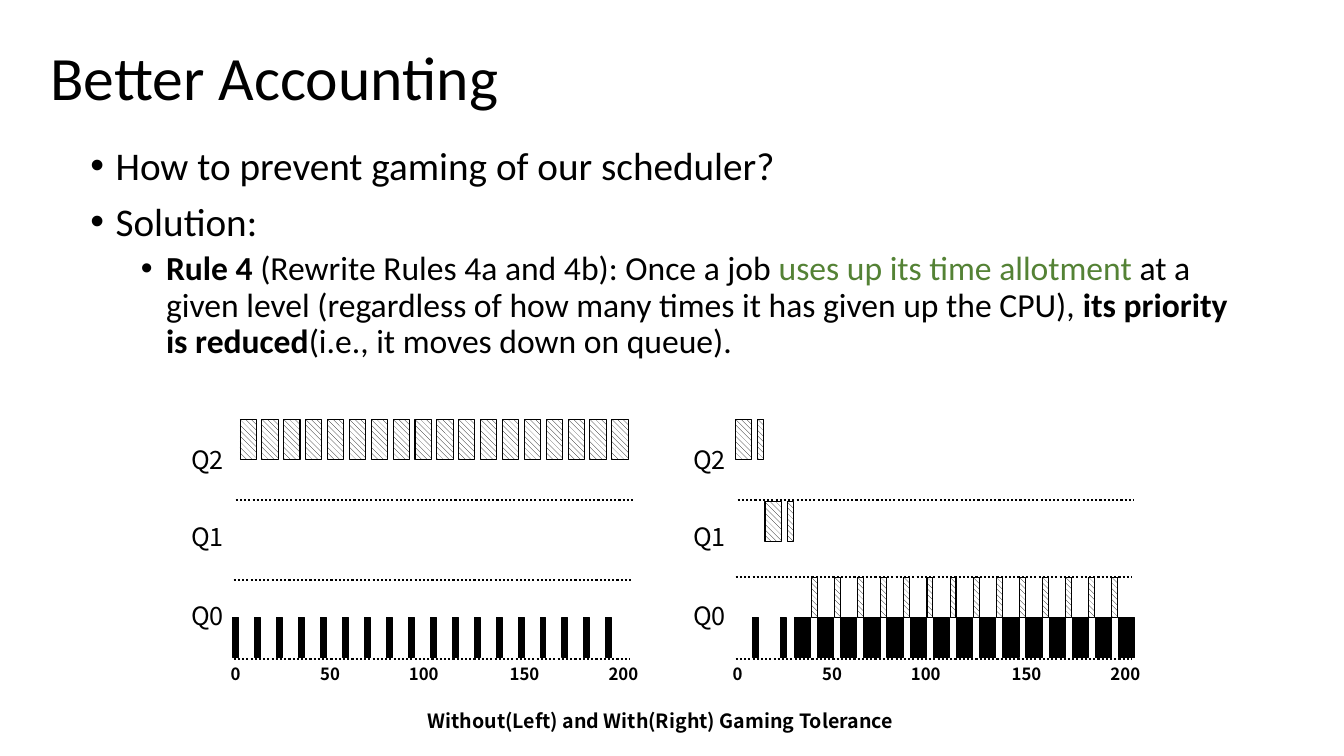
from lxml import etree
from pptx import Presentation
from pptx import util as u
from pptx.dml.color import RGBColor
from pptx.enum import dml, shapes, text
from pptx.oxml.ns import qn

BLACK = RGBColor(0x00, 0x00, 0x00)
WHITE = RGBColor(0xFF, 0xFF, 0xFF)
GREEN = RGBColor(0x54, 0x82, 0x35)
BODY_FONT, CHART_FONT = "Calibri", "Noto Sans CJK KR"

# Content
TITLE = "Better Accounting"
CAPTION = "Without(Left) and With(Right) Gaming Tolerance"
# Each bullet: level, size, runs of (text, bold, colour)
BULLETS = [
    (0, 28, [("How to prevent gaming of our scheduler?", False, BLACK)]),
    (0, 28, [("Solution:", False, BLACK)]),
    (1, 24, [
        ("Rule 4 ", True, BLACK),
        ("(Rewrite Rules 4a and 4b): Once a job ", False, BLACK),
        ("uses up its time allotment ", False, GREEN),
        ("at a given level (regardless of how many times it has given up the CPU), ",
         False, BLACK),
        ("its priority is reduced", True, BLACK),
        ("(i.e., it moves down on queue).", False, BLACK),
    ]),
]
# Label: left edge or centre in the left timeline, in cm
QUEUES = [("Q2", 11.07), ("Q1", 13.0), ("Q0", 15.01)]
TICKS = [("0", 5.87), ("50", 8.32), ("100", 10.68), ("150", 13.22), ("200", 15.71)]
TICK_WIDTHS = {1: 0.61, 2: 1.19, 3: 1.55}

# Bar rows: first left, last left, count, top, width, hatched
WIDE, THIN, BAR_H = 0.41, 0.15, 1.0
Q2_TOP, Q1_TOP, Q0_UPPER, Q0_TOP = 10.57, 12.65, 14.55, 15.57
# Each timeline: horizontal shift, height of the Q1/Q0 divider, bar rows
TIMELINES = [
    (0, 14.61, [
        (6.05, 15.42, 18, Q2_TOP, WIDE, True),
        (5.87, 15.27, 18, Q0_TOP, THIN, False),
    ]),
    (12.65, 14.55, [
        (18.54, 18.54, 1, Q2_TOP, WIDE, True),
        (19.1, 19.1, 1, Q2_TOP, THIN, True),
        (19.28, 19.28, 1, Q1_TOP, WIDE, True),
        (19.84, 19.84, 1, Q1_TOP, THIN, True),
        (18.97, 19.66, 2, Q0_TOP, THIN, False),
        (20.02, 28.19, 15, Q0_TOP, WIDE, False),
        (20.45, 28.02, 14, Q0_UPPER, THIN, True),
    ]),
]


def add_label(parent, label, x, y, w, h, size, align, bold):
    tb = parent.add_textbox(u.Cm(x), u.Cm(y), u.Cm(w), u.Cm(h))
    tf = tb.text_frame
    tf.word_wrap = False
    tf.vertical_anchor = text.MSO_ANCHOR.MIDDLE
    p = tf.paragraphs[0]
    p.text, p.alignment = label, align
    p.font.name, p.font.size, p.font.bold = CHART_FONT, u.Pt(size), bold
    p.font.color.rgb = BLACK


def add_divider(parent, x, y, length):
    line = parent.add_connector(shapes.MSO_CONNECTOR.STRAIGHT,
                                u.Cm(x), u.Cm(y), u.Cm(x + length), u.Cm(y))
    line.line.color.rgb = BLACK
    line.line.width = u.Pt(1.5)
    line.line.dash_style = dml.MSO_LINE.ROUND_DOT
    etree.SubElement(line._element.spPr, qn("a:effectLst"))


def add_bar(parent, x, y, w, hatched):
    bar = parent.add_shape(shapes.MSO_SHAPE.RECTANGLE,
                           u.Cm(x), u.Cm(y), u.Cm(w), u.Cm(BAR_H))
    bar.shadow.inherit = False
    if hatched:
        bar.fill.patterned()
        bar.fill.pattern = dml.MSO_PATTERN.WIDE_DOWNWARD_DIAGONAL
        bar.fill.fore_color.rgb, bar.fill.back_color.rgb = BLACK, WHITE
    else:
        bar.fill.solid()
        bar.fill.fore_color.rgb = BLACK
    bar.line.color.rgb = BLACK
    bar.line.width = u.Pt(0.75)


def add_timeline(s, shift, divider_y, rows):
    group = s.shapes.add_group_shape().shapes
    # Queue dividers and time axis
    for x, y, length in [(5.94, 12.6, 10), (5.89, divider_y, 10), (5.89, 16.61, 9.98)]:
        add_divider(group, x + shift, y, length)
    # Queue names and time ticks
    for name, y in QUEUES:
        add_label(group, name, 4.14 + shift, y, 1.75, 1.02, 18, text.PP_ALIGN.RIGHT, False)
    for tick, centre in TICKS:
        w = TICK_WIDTHS[len(tick)]
        add_label(group, tick, centre - w / 2 + shift, 16.61, w, 0.76, 12,
                  text.PP_ALIGN.CENTER, True)
    # Time slices, evenly spread from first to last
    for first, last, count, y, w, hatched in rows:
        pitch = (last - first) / max(count - 1, 1)
        for i in range(count):
            add_bar(group, first + i * pitch, y, w, hatched)


def add_bullets(s):
    tb = s.shapes.add_textbox(u.Cm(2.03), u.Cm(3.56), u.Cm(29.21), u.Cm(12.09))
    tf = tb.text_frame
    tf.word_wrap = True
    for i, (level, size, runs) in enumerate(BULLETS):
        p = tf.paragraphs[0] if i == 0 else tf.add_paragraph()
        p.level, p.line_spacing = level, 0.9
        p.space_before = u.Pt(5 if level else 10)
        p.font.name, p.font.size = BODY_FONT, u.Pt(size)
        pPr = p._p.get_or_add_pPr()
        pPr.set("marL", str(u.Cm(0.635 + 1.27 * level)))
        pPr.set("indent", str(-u.Cm(0.635)))
        # Bullet marks go ahead of the default run properties
        marks = [etree.Element(qn("a:buFont"), typeface="Arial"),
                 etree.Element(qn("a:buChar"), char="•")]
        for mark in marks:
            pPr.find(qn("a:defRPr")).addprevious(mark)
        for words, bold, color in runs:
            r = p.add_run()
            r.text = words
            r.font.name, r.font.size = BODY_FONT, u.Pt(size)
            r.font.bold, r.font.color.rgb = bold, color


def main():
    prs = Presentation()
    prs.slide_width, prs.slide_height = u.Cm(33.87), u.Cm(19.05)
    s = prs.slides.add_slide(prs.slide_layouts[5])

    # Title
    title = s.shapes.title
    title.left, title.top = u.Cm(1.02), u.Cm(0.18)
    title.width, title.height = u.Cm(29.21), u.Cm(3.68)
    tf = title.text_frame
    tf.auto_size = text.MSO_AUTO_SIZE.NONE
    tf.vertical_anchor = text.MSO_ANCHOR.MIDDLE
    p = tf.paragraphs[0]
    p.text, p.alignment, p.line_spacing = TITLE, text.PP_ALIGN.LEFT, 0.9
    p.font.name, p.font.size = BODY_FONT, u.Pt(44)
    p.font.color.rgb = BLACK

    # Body, timelines and caption
    add_bullets(s)
    for shift, divider_y, rows in TIMELINES:
        add_timeline(s, shift, divider_y, rows)
    add_label(s.shapes, CAPTION, 7.54, 17.73, 18.21, 0.86, 14, text.PP_ALIGN.CENTER, True)

    prs.save("out.pptx")


if __name__ == "__main__":
    main()
